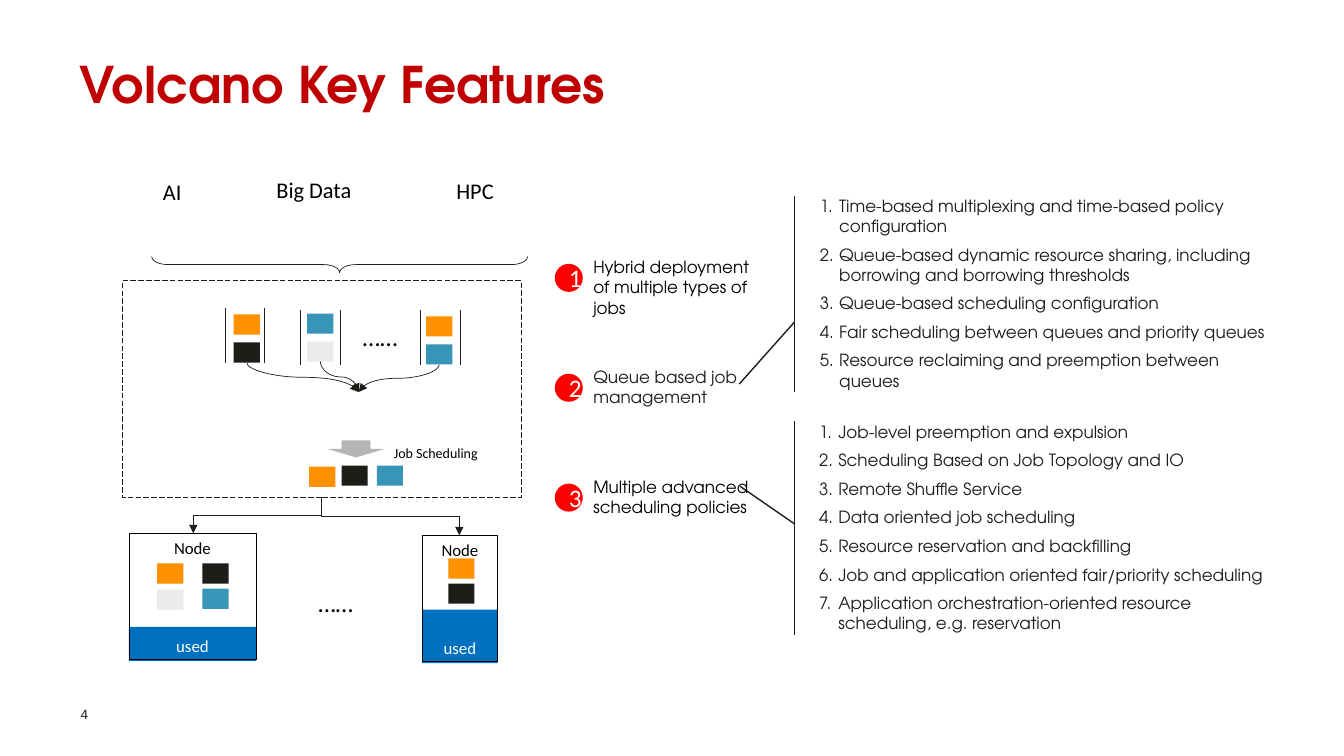
from lxml.etree import SubElement
from pptx import Presentation
from pptx.dml.color import RGBColor
from pptx.enum.dml import MSO_LINE
from pptx.enum.shapes import MSO_CONNECTOR, MSO_SHAPE
from pptx.enum.text import MSO_ANCHOR, MSO_AUTO_SIZE, PP_ALIGN
from pptx.oxml.ns import qn
from pptx.util import Pt

BLACK = RGBColor(0x00, 0x00, 0x00)
WHITE = RGBColor(0xFF, 0xFF, 0xFF)
INK = RGBColor(0x1D, 0x1D, 0x1A)
CRIMSON = RGBColor(0xC0, 0x00, 0x00)
RED = RGBColor(0xFF, 0x00, 0x00)
ORANGE = RGBColor(0xFF, 0x90, 0x00)
TEAL = RGBColor(0x37, 0x95, 0xB8)
PALE = RGBColor(0xEB, 0xEB, 0xEB)
GRAY = RGBColor(0xB5, 0xB5, 0xB5)
BLUE = RGBColor(0x00, 0x70, 0xC0)
HEAD_FONT, BODY_FONT = "TeX Gyre Adventor", "Calibri"

# Content; all positions and sizes are in points
TITLE = "Volcano Key Features"
WORKLOADS = [  # label, left, top, width
    ("AI", 110.9, 127.4, 24.5),
    ("Big Data", 182.9, 126, 82.8),
    ("HPC", 301, 126.7, 77),
]
QUEUES = [  # bar left, bar top, job left, job top, job colours
    (161, 220.3, 167, 224.6, (ORANGE, INK)),
    (215, 221.6, 219.6, 224, (TEAL, PALE)),
    (300.6, 221.8, 304.6, 226, (ORANGE, TEAL)),
]
SCHEDULED_JOBS = [(221, 333.4, ORANGE), (244.1, 332.6, INK), (269.3, 332.6, TEAL)]
NODES = [  # left, top, width, used height, arrow x, jobs
    (92.2, 380.9, 90.7, 24.5, 138.2, [
        (112.3, 402.5, ORANGE), (144.7, 402.5, INK),
        (112.3, 421.2, PALE), (144.7, 420.5, TEAL)]),
    (301.7, 382.3, 54, 38.2, 328.3, [
        (320.4, 398.9, ORANGE), (320.4, 416.9, INK)]),
]
FEATURES = [  # text, width, colour
    ("Hybrid deployment of multiple types of jobs", 113, BLACK),
    ("Queue based job management", 106, INK),
    ("Multiple advanced scheduling policies", 117.4, BLACK),
]
DETAILS = [  # box, callout adjustments, items
    ((586, 139.7, 324, 140.4), (0.643, -0.056, 0.959, -0.178), [
        "Time-based multiplexing and time-based policy configuration",
        "Queue-based dynamic resource sharing, including borrowing and borrowing thresholds",
        "Queue-based scheduling configuration",
        "Fair scheduling between queues and priority queues",
        "Resource reclaiming and preemption between queues",
    ]),
    ((585.4, 301, 317.5, 152.6), (0.479, -0.056, 0.304, -0.178), [
        "Job-level preemption and expulsion",
        "Scheduling Based on Job Topology and IO",
        "Remote Shuffle Service",
        "Data oriented job scheduling",
        "Resource reservation and backfilling",
        "Job and application oriented fair/priority scheduling",
        "Application orchestration-oriented resource scheduling, e.g. reservation",
    ]),
]
JOB_WIDTH, JOB_HEIGHT, JOB_STEP = 18.7, 14.4, 20
BAR_GAP, BAR_HEIGHT = 28.1, 39
MERGE_POINT = (256.3, 280)
SPLIT_POINT = (229.7, 355)
FEATURE_LEFT, FEATURE_TOP, FEATURE_STEP = 424, 183.6, 78.5
NUMBER_INDENT = 13.7

presentation = Presentation()
presentation.slide_width, presentation.slide_height = Pt(960.5), Pt(540)
slide = presentation.slides.add_slide(presentation.slide_layouts[5])


def add_run(paragraph, text, size, color, font=BODY_FONT, bold=False):
    run = paragraph.add_run()
    run.text = text
    run.font.name, run.font.size, run.font.bold = font, Pt(size), bold
    run.font.color.rgb = color


def clear_margins(frame):
    frame.margin_left = frame.margin_right = frame.margin_top = frame.margin_bottom = 0


def add_label(text, box, size, color=BLACK, font=BODY_FONT, align=PP_ALIGN.LEFT,
              anchor=MSO_ANCHOR.TOP, wrap=True):
    frame = slide.shapes.add_textbox(*map(Pt, box)).text_frame
    clear_margins(frame)
    frame.word_wrap, frame.vertical_anchor = wrap, anchor
    frame.paragraphs[0].alignment = align
    add_run(frame.paragraphs[0], text, size, color, font)


def add_box(kind, box, fill=None, line=None, width=0.5):
    shape = slide.shapes.add_shape(kind, *map(Pt, box))
    shape.shadow.inherit = False
    if fill is None:
        shape.fill.background()
    else:
        shape.fill.solid()
        shape.fill.fore_color.rgb = fill
    if line is None:
        shape.line.fill.background()
    else:
        shape.line.color.rgb, shape.line.width = line, Pt(width)
    return shape


def write_inside(shape, text, size, color, anchor):
    shape.text_frame.vertical_anchor = anchor
    paragraph = shape.text_frame.paragraphs[0]
    paragraph.alignment = PP_ALIGN.CENTER
    add_run(paragraph, text, size, color)


def add_job(left, top, color):
    add_box(MSO_SHAPE.RECTANGLE, (left, top, JOB_WIDTH, JOB_HEIGHT), color)


def add_line(kind, start, end):
    connector = slide.shapes.add_connector(kind, *map(Pt, start + end))
    connector.line.color.rgb, connector.line.width = INK, Pt(0.5)
    SubElement(connector._element.spPr, qn("a:effectLst"))
    return connector


def add_down_arrow(kind, start, end):
    """Arrow that leaves and arrives vertically: a connector turned a quarter."""
    across, down = abs(end[0] - start[0]), end[1] - start[1]
    left = (start[0] + end[0] - down) / 2
    top = (start[1] + end[1] - across) / 2
    right, bottom = left + down, top + across
    if end[0] < start[0]:
        connector, degrees = add_line(kind, (left, top), (right, bottom)), 90
    else:
        connector, degrees = add_line(kind, (right, top), (left, bottom)), 270
    properties = connector._element.spPr
    properties.find(qn("a:xfrm")).set("rot", str(degrees * 60000))
    SubElement(properties.find(qn("a:ln")), qn("a:tailEnd"), type="triangle")


# Title and page number
title = slide.shapes.title
title.left, title.top, title.width, title.height = map(Pt, (56.9, 23.8, 845.3, 80.6))
frame = title.text_frame
clear_margins(frame)
frame.auto_size, frame.vertical_anchor = MSO_AUTO_SIZE.NONE, MSO_ANCHOR.MIDDLE
frame.paragraphs[0].alignment = PP_ALIGN.LEFT
frame.paragraphs[0].line_spacing = Pt(34.3)
add_run(frame.paragraphs[0], TITLE, 36, CRIMSON, HEAD_FONT, True)
add_label("4", (57.6, 504, 39.6, 11.5), 9.7, INK, "Arial")

# Workloads and the scheduler frame
for text, left, top, width in WORKLOADS:
    add_label(text, (left, top, width, 19.4), 16, align=PP_ALIGN.CENTER,
              anchor=MSO_ANCHOR.MIDDLE)
brace = add_box(MSO_SHAPE.RIGHT_BRACE, (237, 54.7, 11.5, 268.6), line=INK)
brace.adjustments[0], brace.adjustments[1] = 0.999, 0.5
brace.rotation = 90
scheduler = add_box(MSO_SHAPE.RECTANGLE, (87.5, 200.5, 285.1, 154.8), line=INK)
scheduler.line.dash_style = MSO_LINE.LONG_DASH

# Queues merging into one point
for bar_left, bar_top, job_left, job_top, colors in QUEUES:
    for x in (bar_left, bar_left + BAR_GAP):
        add_line(MSO_CONNECTOR.STRAIGHT, (x, bar_top), (x, bar_top + BAR_HEIGHT))
    for index, color in enumerate(colors):
        add_job(job_left, job_top + index * JOB_STEP, color)
    queue_end = (job_left + JOB_WIDTH / 2, job_top + JOB_STEP + JOB_HEIGHT)
    add_down_arrow(MSO_CONNECTOR.CURVE, queue_end, MERGE_POINT)
for left, top in ((259.2, 229.7), (227.5, 419.8)):
    add_label("……", (left, top, 25.2, 21.6), 18, wrap=False)

# Job scheduling
add_box(MSO_SHAPE.DOWN_ARROW, (234, 314.6, 41, 12.2), GRAY)
add_label("Job Scheduling", (281.5, 317.5, 60.5, 12.2), 10, wrap=False)
for job in SCHEDULED_JOBS:
    add_job(*job)

# Nodes
for left, top, width, used_height, arrow_x, jobs in NODES:
    add_down_arrow(MSO_CONNECTOR.ELBOW, SPLIT_POINT, (arrow_x, top))
    for job in jobs:
        add_job(*job)
    used_top = top + 91.4 - used_height
    used = add_box(MSO_SHAPE.RECTANGLE, (left, used_top, width, used_height), BLUE)
    write_inside(used, "used", 12, WHITE, MSO_ANCHOR.BOTTOM)
    node = add_box(MSO_SHAPE.RECTANGLE, (left, top, width, 90), line=BLACK, width=0.25)
    write_inside(node, "Node", 12, BLACK, MSO_ANCHOR.TOP)

# Numbered features
for index, (text, width, color) in enumerate(FEATURES):
    top = FEATURE_TOP + index * FEATURE_STEP
    badge = add_box(MSO_SHAPE.OVAL, (FEATURE_LEFT - 27.5, top + 4.9, 20, 20), RED)
    write_inside(badge, str(index + 1), 18, WHITE, MSO_ANCHOR.MIDDLE)
    add_label(text, (FEATURE_LEFT, top, width, 29), 12, color, HEAD_FONT)

# Callouts with numbered details
for box, adjustments, items in DETAILS:
    callout = add_box(MSO_SHAPE.LINE_CALLOUT_1_ACCENT_BAR, box, line=INK, width=1)
    for index, value in enumerate(adjustments):
        callout.adjustments[index] = value
    frame = callout.text_frame
    clear_margins(frame)
    frame.vertical_anchor = MSO_ANCHOR.TOP
    for index, item in enumerate(items):
        paragraph = frame.add_paragraph() if index else frame.paragraphs[0]
        paragraph.alignment, paragraph.space_after = PP_ALIGN.LEFT, Pt(6)
        properties = paragraph._p.get_or_add_pPr()
        properties.set("marL", str(Pt(NUMBER_INDENT)))
        properties.set("indent", str(-Pt(NUMBER_INDENT)))
        SubElement(properties, qn("a:buAutoNum"), type="arabicPeriod")
        add_run(paragraph, item, 12, INK, HEAD_FONT)

presentation.save("out.pptx")
